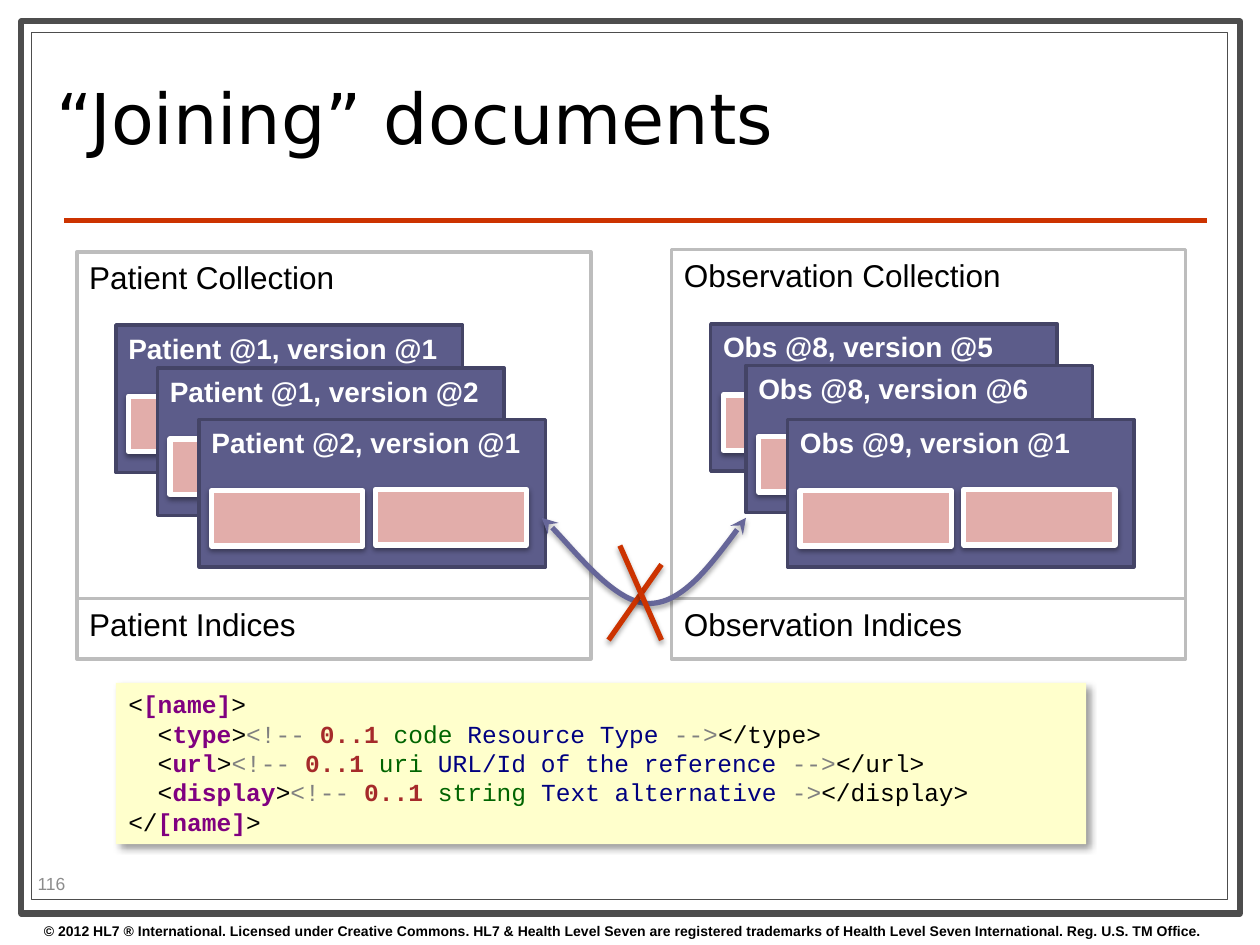
from lxml import etree
from pptx import Presentation
from pptx.dml.color import RGBColor
from pptx.enum.shapes import MSO_CONNECTOR, MSO_SHAPE
from pptx.enum.text import MSO_ANCHOR, PP_ALIGN
from pptx.oxml.ns import qn
from pptx.util import Emu, Pt

RECTANGLE = MSO_SHAPE.RECTANGLE
STRAIGHT = MSO_CONNECTOR.STRAIGHT
TOP, MIDDLE = MSO_ANCHOR.TOP, MSO_ANCHOR.MIDDLE
LEFT = PP_ALIGN.LEFT

BLACK = RGBColor(0x00, 0x00, 0x00)
WHITE = RGBColor(0xFF, 0xFF, 0xFF)
FRAME = RGBColor(0x4D, 0x4D, 0x4D)
RED = RGBColor(0xCC, 0x33, 0x00)
NUMBER = RGBColor(0x8C, 0x8C, 0x8C)
BORDER = RGBColor(0xBD, 0xBD, 0xBD)
CARD = RGBColor(0x5C, 0x5C, 0x8A)
CARD_EDGE = RGBColor(0x44, 0x44, 0x66)
TILE = RGBColor(0xE2, 0xAD, 0xAA)
ARROW = RGBColor(0x66, 0x66, 0x99)
NOTE = RGBColor(0xFF, 0xFF, 0xCC)
TAG = RGBColor(0x80, 0x00, 0x80)
COMMENT = RGBColor(0x80, 0x80, 0x80)
COUNT = RGBColor(0xA5, 0x2A, 0x2A)
TYPE = RGBColor(0x00, 0x64, 0x00)
MEANING = RGBColor(0x00, 0x00, 0x80)

SLIDE_COLUMNS, SLIDE_ROWS = 100, 75
CELL = 91440
TILE_SHADOW = (38, 3.1, 1.6, 90)
LINE_SHADOW = (35, 3.1, 1.8, 90)
NOTE_SHADOW = (40, 4, 3, 45)
COPYRIGHT = (
    "© 2012 HL7 ® International. Licensed under Creative Commons. "
    "HL7 & Health Level Seven are registered trademarks of "
    "Health Level Seven International. Reg. U.S. TM Office."
)


def grid(*cells):
    """Turn columns or rows of the slide grid into lengths."""
    return [Emu(round(cell * CELL)) for cell in cells]


def set_shadow(shape, shadow=None):
    """Replace the theme's effects with one outer shadow or none."""
    properties = shape._element.spPr
    effects = properties.find(qn("a:effectLst"))
    if effects is None:
        effects = etree.SubElement(properties, qn("a:effectLst"))
    if shadow:
        alpha, blur, distance, angle = shadow
        outer = etree.SubElement(
            effects, qn("a:outerShdw"), blurRad=str(Pt(blur)), dist=str(Pt(distance)),
            dir=str(angle * 60000), algn="ctr", rotWithShape="0")
        color = etree.SubElement(outer, qn("a:srgbClr"), val=str(BLACK))
        etree.SubElement(color, qn("a:alpha"), val=str(alpha * 1000))


def set_line(shape, color, width):
    """Give a shape or connector a solid line."""
    shape.line.color.rgb = color
    shape.line.width = Pt(width)


def add_span(para, text, size, color, bold=False, font="Arial"):
    """Add one run of formatted text."""
    span = para.add_run()
    span.text = text
    span.font.size = Pt(size)
    span.font.name = font
    span.font.bold = bold
    span.font.color.rgb = color


def add_box(shapes, place, fill, edge=None, shadow=None):
    """Add a rectangle with left-aligned text at its top."""
    box = shapes.add_shape(RECTANGLE, *grid(*place))
    box.shadow.inherit = False
    box.fill.solid()
    box.fill.fore_color.rgb = fill
    if edge:
        set_line(box, *edge)
    else:
        box.line.fill.background()
    set_shadow(box, shadow)
    box.text_frame.vertical_anchor = TOP
    box.text_frame.paragraphs[0].alignment = LEFT
    return box


def add_label(page, place, text, size, color, bold=False, font="Arial", anchor=TOP):
    """Add a free-standing line of text."""
    label = page.shapes.add_textbox(*grid(*place))
    label.text_frame.word_wrap = True
    label.text_frame.vertical_anchor = anchor
    para = label.text_frame.paragraphs[0]
    add_span(para, text, size, color, bold, font)
    return para


def add_rule(page, ends, width, shadow=None):
    """Add a straight red line."""
    rule = page.shapes.add_connector(STRAIGHT, *grid(*ends))
    set_line(rule, RED, width)
    set_shadow(rule, shadow)


def add_panel(page, place, text):
    """Add a bordered white panel with a heading."""
    panel = add_box(page.shapes, place, WHITE, (BORDER, 2))
    add_span(panel.text_frame.paragraphs[0], text, 18, BLACK)


def add_card(page, left, top, text):
    """Add a grouped document card holding two tiles."""
    group = page.shapes.add_group_shape()
    card = add_box(group.shapes, (left, top, 27.5, 11.7), CARD, (CARD_EDGE, 2))
    add_span(card.text_frame.paragraphs[0], text, 16, WHITE, True)
    for across, down in ((1, 5.65), (14, 5.55)):
        add_box(group.shapes, (left + across, top + down, 12, 4.4),
                TILE, (WHITE, 3), TILE_SHADOW)


def add_collection(page, left, top, name, cards):
    """Add a collection panel, its stacked cards and its index panel."""
    add_panel(page, (left, top, 40.8, 47.5 - top), f"{name} Collection")
    for across, down, text in cards:
        add_card(page, left + across, down, text)
    add_panel(page, (left, 47.5, 40.8, 4.8), f"{name} Indices")


def add_join_arrow(page, start, curves):
    """Add a double-headed curve through Bezier control points."""
    builder = page.shapes.build_freeform(*grid(*start))
    builder.add_line_segments([grid(*point) for curve in curves for point in curve], close=False)
    arrow = builder.convert_to_shape()
    outline = next(arrow._element.iter(qn("a:path")))
    segments = outline.findall(qn("a:lnTo"))
    for first in range(0, len(segments), 3):
        bend = etree.SubElement(outline, qn("a:cubicBezTo"))
        for segment in segments[first:first + 3]:
            bend.append(segment[0])
            outline.remove(segment)
    arrow.fill.background()
    set_line(arrow, ARROW, 3)
    for end in ("a:headEnd", "a:tailEnd"):
        etree.SubElement(arrow.line._get_or_add_ln(), qn(end), type="stealth")
    set_shadow(arrow, LINE_SHADOW)


def field_line(name, kind, meaning, close="-->"):
    """Return the coloured spans of one field in the listing."""
    return [("  <", BLACK), (name, TAG), (">", BLACK), ("<!-- ", COMMENT),
            ("0..1 ", COUNT), (f"{kind} ", TYPE), (f"{meaning} ", MEANING),
            (close, COMMENT), (f"</{name}>", BLACK)]


def add_listing(page, place, lines):
    """Add the shaded note with the reference structure."""
    frame = add_box(page.shapes, place, NOTE, shadow=NOTE_SHADOW).text_frame
    for index, spans in enumerate(lines):
        para = frame.add_paragraph() if index else frame.paragraphs[0]
        para.alignment = LEFT
        for text, color in spans:
            add_span(para, text, 14, color, color in (TAG, COUNT), "Courier New")


def main():
    """Build and save the slide."""
    deck = Presentation()
    deck.slide_width, deck.slide_height = grid(SLIDE_COLUMNS, SLIDE_ROWS)
    page = deck.slides.add_slide(deck.slide_layouts[6])

    add_box(page.shapes, (1.7, 1.7, 96.7, 70.8), WHITE, (FRAME, 3.5))
    add_box(page.shapes, (2.5, 2.6, 94.9, 68.8), WHITE, (FRAME, 0.75))
    add_rule(page, (5.1, 17.5, 95.8, 17.5), 3)
    add_label(page, (2.5, 72.7, 97.5, 2.3), COPYRIGHT, 8, BLACK, True)
    title = add_label(page, (3.5, 3.6, 71.7, 12.6), "“Joining” documents", 40, BLACK,
                      font="DejaVu Sans", anchor=MIDDLE)
    title.line_spacing = 0.8
    add_label(page, (2, 68.9, 7.9, 2.4), "116", 10, NUMBER, anchor=MIDDLE)

    add_collection(page, 6.1, 20, "Patient", [
        (3.1, 25.8, "Patient @1, version @1"),
        (6.4, 29.2, "Patient @1, version @2"),
        (9.7, 33.3, "Patient @2, version @1")])
    add_collection(page, 53.3, 19.8, "Observation", [
        (3.1, 25.7, "Obs @8, version @5"),
        (5.9, 29, "Obs @8, version @6"),
        (9.2, 33.3, "Obs @9, version @1")])

    add_join_arrow(page, (59.2, 41.1), [
        [(56.7, 44.5), (54.1, 47.9), (51.5, 47.9)],
        [(48.8, 47.9), (44.5, 42.3), (43, 41.1)]])
    add_rule(page, (52.5, 44.8, 48.3, 50.8), 3, LINE_SHADOW)
    add_rule(page, (49.2, 43.3, 52.5, 50.8), 3, LINE_SHADOW)

    add_listing(page, (9.2, 54.2, 77, 12.8), [
        [("<", BLACK), ("[name]", TAG), (">", BLACK)],
        field_line("type", "code", "Resource Type"),
        field_line("url", "uri", "URL/Id of the reference"),
        field_line("display", "string", "Text alternative", "->"),
        [("</", BLACK), ("[name]", TAG), (">", BLACK)]])
    deck.save("out.pptx")


if __name__ == "__main__":
    main()
